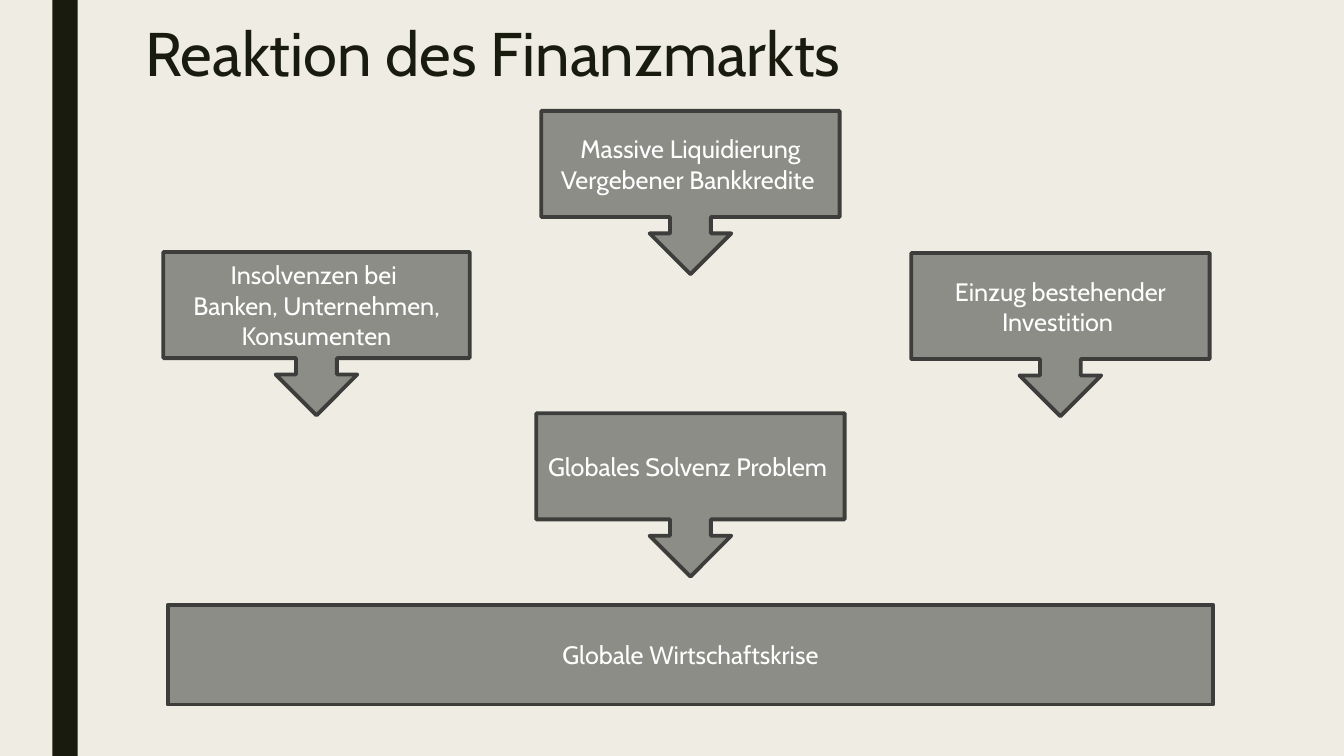
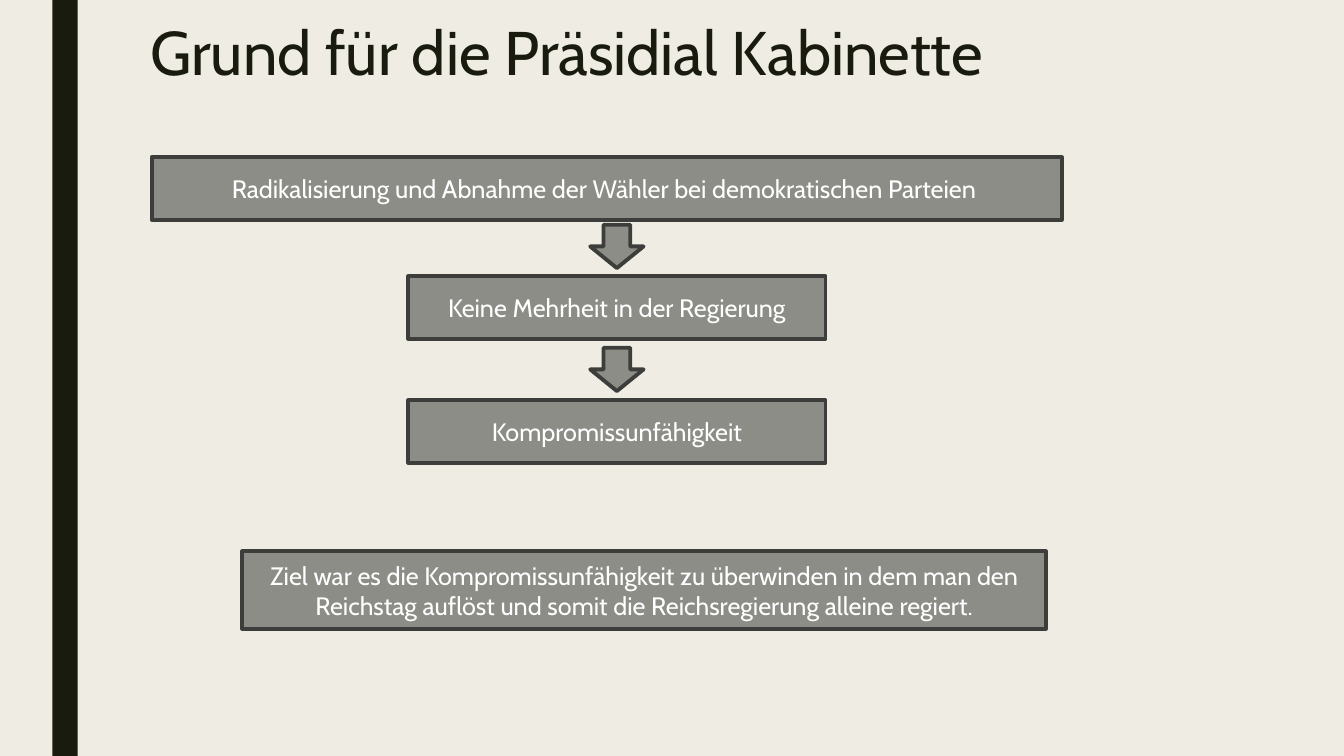
from dataclasses import dataclass

import pptx
import pptx.dml.color
import pptx.enum.shapes
import pptx.enum.text
import pptx.util

SHAPE = pptx.enum.shapes.MSO_SHAPE
ALIGN = pptx.enum.text.PP_ALIGN
ANCHOR = pptx.enum.text.MSO_ANCHOR

# Grid: ten columns and ten rows to the inch
COLUMNS, ROWS = 133.33, 75
PAPER, INK, STONE, EDGE, WHITE = "EFEDE3", "191B0E", "8C8D86", "3D3E3B", "FFFFFF"
FONT = "Cabin"

# Flow chart measures, in grid steps
CALLOUT_HEIGHT = 16.2
BAR_HEIGHT = 6.2
ARROW_WIDTH, ARROW_HEIGHT = 5.3, 4.3
ARROW_TOP, ARROW_PITCH = 22.3, 12.2
MIDDLE, CHAIN_MIDDLE = 68.5, 61.2


@dataclass(frozen=True)
class Node:
    """One shape of a flow chart, placed by its centre column and top row."""
    centre: float
    top: float
    width: float
    height: float
    lines: tuple[str, ...] = ()
    kind: SHAPE = SHAPE.RECTANGLE


@dataclass(frozen=True)
class Page:
    title: str
    title_left: float
    title_top: float
    title_width: float
    nodes: tuple[Node, ...]


def callout(centre: float, top: float, width: float, *lines: str) -> Node:
    return Node(centre, top, width, CALLOUT_HEIGHT, lines, SHAPE.DOWN_ARROW_CALLOUT)


def bar(centre: float, top: float, width: float, text: str) -> Node:
    return Node(centre, top, width, BAR_HEIGHT, (text,))


def arrow(index: int) -> Node:
    return Node(CHAIN_MIDDLE, ARROW_TOP + index * ARROW_PITCH,
                ARROW_WIDTH, ARROW_HEIGHT, kind=SHAPE.DOWN_ARROW)


PAGES = (
    Page("Reaktion des Finanzmarkts", 13.4, 1.9, 74.2, (
        callout(MIDDLE, 11, 29.6, "Massive Liquidierung Vergebener Bankkredite "),
        callout(31.4, 25, 30.4, "Insolvenzen bei ", "Banken, Unternehmen, Konsumenten"),
        callout(105.2, 25.1, 29.6, "Einzug bestehender Investition "),
        callout(MIDDLE, 41, 30.6, "Globales Solvenz Problem "),
        Node(MIDDLE, 60, 103.7, 9.9, ("Globale Wirtschaftskrise",)),
    )),
    Page("Grund für die Präsidial Kabinette", 13.9, 1.8, 105.5, (
        bar(60.2, 15.6, 90.3,
            "Radikalisierung und Abnahme der Wähler bei demokratischen Parteien "),
        arrow(0),
        bar(CHAIN_MIDDLE, 27.4, 41.4, "Keine Mehrheit in der Regierung"),
        arrow(1),
        bar(CHAIN_MIDDLE, 39.7, 41.4, "Kompromissunfähigkeit"),
        Node(63.9, 54.7, 79.7, 7.7, (
            "Ziel war es die Kompromissunfähigkeit zu überwinden in dem man den "
            "Reichstag auflöst und somit die Reichsregierung alleine regiert.",)),
    )),
)


def color(value: str) -> pptx.dml.color.RGBColor:
    return pptx.dml.color.RGBColor.from_string(value)


def grid(*steps: float) -> list[pptx.util.Length]:
    return [pptx.util.Inches(step / 10) for step in steps]


def add_span(para, text: str, size: float, ink: str) -> None:
    span = para.add_run()
    span.text = text
    span.font.name = FONT
    span.font.size = pptx.util.Pt(size)
    span.font.color.rgb = color(ink)


def add_filled(slide, kind: SHAPE, fill: str, left: float, top: float,
               width: float, height: float):
    shape = slide.shapes.add_shape(kind, *grid(left, top, width, height))
    shape.shadow.inherit = False
    shape.fill.solid()
    shape.fill.fore_color.rgb = color(fill)
    shape.line.fill.background()
    return shape


def add_node(slide, node: Node) -> None:
    shape = add_filled(slide, node.kind, STONE, node.centre - node.width / 2,
                       node.top, node.width, node.height)
    shape.line.color.rgb = color(EDGE)
    shape.line.width = pptx.util.Pt(2.75)
    frame = shape.text_frame
    frame.word_wrap = True
    frame.vertical_anchor = ANCHOR.MIDDLE
    for index, line in enumerate(node.lines):
        para = frame.add_paragraph() if index else frame.paragraphs[0]
        para.alignment = ALIGN.CENTER
        add_span(para, line, 18, WHITE)


def add_title(slide, page: Page) -> None:
    box = slide.shapes.add_textbox(
        *grid(page.title_left, page.title_top, page.title_width, 8))
    box.text_frame.word_wrap = True
    para = box.text_frame.paragraphs[0]
    para.line_spacing = 0.89
    add_span(para, page.title, 44, INK)


def add_page(deck, page: Page) -> None:
    slide = deck.slides.add_slide(deck.slide_layouts[6])
    # Shared look: paper background and dark side band
    slide.background.fill.solid()
    slide.background.fill.fore_color.rgb = color(PAPER)
    add_filled(slide, SHAPE.RECTANGLE, INK, 5.2, 0, 2.5, ROWS)
    # Content
    add_title(slide, page)
    for node in page.nodes:
        add_node(slide, node)


def main() -> None:
    deck = pptx.Presentation()
    deck.slide_width, deck.slide_height = grid(COLUMNS, ROWS)
    for page in PAGES:
        add_page(deck, page)
    deck.save("out.pptx")


if __name__ == "__main__":
    main()
